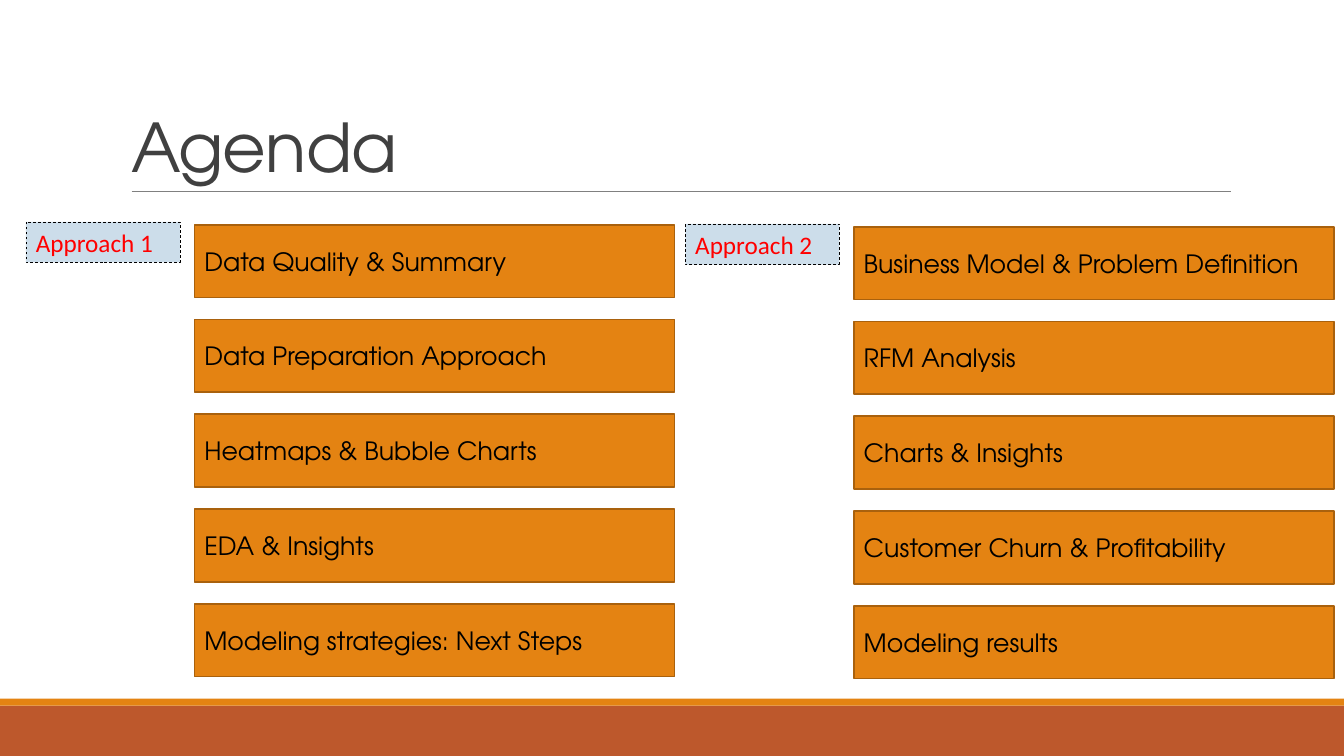
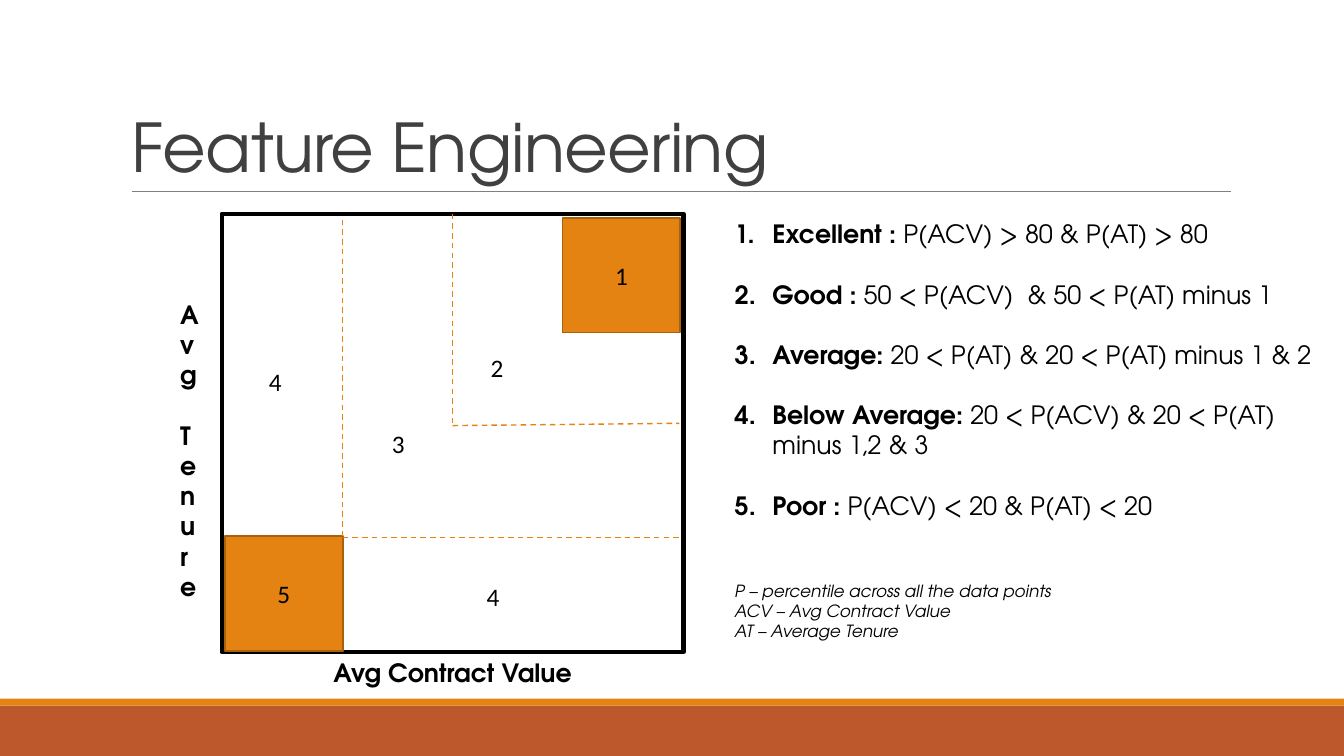
from lxml import etree
from pptx import Presentation
from pptx import util as u
from pptx.dml import color
from pptx.enum import dml, shapes, text
from pptx.oxml import ns

Pt = u.Pt
LEFT, CENTER = text.PP_ALIGN.LEFT, text.PP_ALIGN.CENTER
TOP, MIDDLE = text.MSO_ANCHOR.TOP, text.MSO_ANCHOR.MIDDLE


def rgb(value):
    return color.RGBColor.from_string(value)


class Deck:
    HEAD_FONT, PLAIN_FONT = "TeX Gyre Adventor", "Calibri"
    ORANGE, EDGE, RUST = "E48312", "A9610D", "BD582C"
    BLACK, GREY, TITLE = "000000", "808080", "404040"
    PALE, RED = "CCDDEA", "FF0000"

    def __init__(self):
        self.deck = Presentation()
        self.deck.slide_width, self.deck.slide_height = Pt(960), Pt(540)
        self.layout = self.deck.slide_layouts.get_by_name("Title Only")
        self.page = None

    def new_page(self, title):
        first = self.page is None
        self.page = self.deck.slides.add_slide(self.layout)
        if first:
            self.decorate_layout()
        box = self.page.shapes.title
        box.left, box.top, box.width, box.height = Pt(86.4), Pt(22.5), Pt(792), Pt(114.2)
        frame = box.text_frame
        frame.text = title
        frame.auto_size = text.MSO_AUTO_SIZE.NONE
        frame.vertical_anchor = text.MSO_ANCHOR.BOTTOM
        para = frame.paragraphs[0]
        para.alignment = LEFT
        para.line_spacing = 0.85
        self.style(para.runs[0], 48, ink=self.TITLE)
        for props in box.element.iter(ns.qn("a:rPr")):
            props.set("spc", "-50")

    def decorate_layout(self):
        parts = [
            self.rect(0, 504, 960, 36, self.RUST),
            self.rect(0, 499, 960, 5, self.ORANGE),
            self.line(94, 137, 879, 137, self.GREY, 0.5, dashed=False),
        ]
        for part in parts:
            self.layout.shapes.element.append(part.element)

    def style(self, span, size=18, font=HEAD_FONT, ink=BLACK, bold=False, italic=False):
        span.font.name, span.font.size = font, Pt(size)
        span.font.bold, span.font.italic = bold, italic
        span.font.color.rgb = rgb(ink)

    def rect(self, left, top, width, height, fill=None, edge=None, weight=1.25, dashed=False):
        box = self.page.shapes.add_shape(
            shapes.MSO_SHAPE.RECTANGLE, Pt(left), Pt(top), Pt(width), Pt(height))
        box.shadow.inherit = False
        if fill:
            box.fill.solid()
            box.fill.fore_color.rgb = rgb(fill)
        else:
            box.fill.background()
        if edge:
            box.line.color.rgb = rgb(edge)
            box.line.width = Pt(weight)
            if dashed:
                box.line.dash_style = dml.MSO_LINE.DASH
        else:
            box.line.fill.background()
        return box

    def fill_text(self, box, lines, align=LEFT, anchor=TOP, gap=0, **look):
        frame = box.text_frame
        frame.word_wrap = True
        frame.vertical_anchor = anchor
        frame.text = "\n".join(lines)
        for index, para in enumerate(frame.paragraphs):
            para.alignment = align
            if index:
                para.space_before = Pt(gap)
            self.style(para.runs[0], **look)

    def tile(self, left, top, width, height, words, **look):
        box = self.rect(left, top, width, height, self.ORANGE, self.EDGE)
        self.fill_text(box, [words], anchor=MIDDLE, **look)

    def tag(self, left, top, words):
        box = self.rect(left, top, 110, 29, self.PALE, self.BLACK, 0.5, dashed=True)
        self.fill_text(box, [words], font=self.PLAIN_FONT, ink=self.RED)

    def text_box(self, left, top, width, height):
        return self.page.shapes.add_textbox(Pt(left), Pt(top), Pt(width), Pt(height))

    def label(self, left, top, width, height, *lines, **look):
        self.fill_text(self.text_box(left, top, width, height), lines, **look)

    def line(self, x1, y1, x2, y2, ink=ORANGE, weight=1, dashed=True):
        line = self.page.shapes.add_connector(
            shapes.MSO_CONNECTOR.STRAIGHT, Pt(x1), Pt(y1), Pt(x2), Pt(y2))
        line.line.color.rgb = rgb(ink)
        line.line.width = Pt(weight)
        if dashed:
            line.line.dash_style = dml.MSO_LINE.DASH
        etree.SubElement(line.element.spPr, ns.qn("a:effectLst"))
        return line

    def definitions(self, left, top, width, height, items, notes):
        frame = self.text_box(left, top, width, height).text_frame
        frame.word_wrap = True
        for index, (name, rule) in enumerate(items):
            para = frame.add_paragraph() if index else frame.paragraphs[0]
            props = para._p.get_or_add_pPr()
            props.set("marL", str(Pt(27)))
            props.set("indent", str(-Pt(27)))
            if index:
                para.space_before = Pt(21.5)
            etree.SubElement(props, ns.qn("a:buFont"), typeface="+mj-lt")
            etree.SubElement(props, ns.qn("a:buAutoNum"), type="arabicPeriod")
            for words, bold in ((name + " ", True), (rule, False)):
                span = para.add_run()
                span.text = words
                self.style(span, bold=bold)
        for index, note in enumerate(notes):
            para = frame.add_paragraph()
            para.text = note
            para.space_before = Pt(0 if index else 43)
            self.style(para.runs[0], 12, italic=True)

    def save(self):
        self.deck.save("out.pptx")


def agenda(deck):
    deck.new_page("Agenda")
    columns = [
        (18.5, 158.5, "Approach 1", [
            "Data Quality & Summary", "Data Preparation Approach",
            "Heatmaps & Bubble Charts", "EDA & Insights",
            "Modeling strategies: Next Steps"]),
        (489.5, 160, "Approach 2", [
            "Business Model & Problem Definition", "RFM Analysis",
            "Charts & Insights", "Customer Churn & Profitability",
            "Modeling results"]),
    ]
    for left, top, approach, topics in columns:
        for row, topic in enumerate(topics):
            deck.tile(left + 120.4, top + 2 + row * 67.7, 343, 52, topic)
        deck.tag(left, top, approach)


def feature_engineering(deck):
    deck.new_page("Feature Engineering")
    left, top, width, height = 158.4, 152.6, 329.8, 313.2
    right = 485.3
    deck.rect(left, top, width, height, edge=deck.BLACK, weight=3)
    deck.label(left, top + height, width, 29, "Avg Contract Value", align=CENTER, bold=True)
    deck.label(121.5, 210.2, 27.4, 224, "Avg", "Tenure", gap=21.5, bold=True)
    for x, y, score in ((160.6, 383, "5"), (401.8, 155.5, "1")):
        deck.tile(x, y, 84.2, 82, score, align=CENTER, font=deck.PLAIN_FONT)
    deck.definitions(517.7, top, 432, 320, [
        ("Excellent :", "P(ACV) > 80 & P(AT) > 80"),
        ("Good :", "50 < P(ACV)  & 50 < P(AT) minus 1"),
        ("Average:", "20 < P(AT) & 20 < P(AT) minus 1 & 2"),
        ("Below Average:", "20 < P(ACV) & 20 < P(AT) minus 1,2 & 3"),
        ("Poor :", "P(ACV) < 20 & P(AT) < 20"),
    ], [
        "P – percentile across all the data points",
        "ACV – Avg Contract Value",
        "AT – Average Tenure",
    ])
    for ends in (
        (323.3, top, 323.3, 304),
        (323.3, 304, right, 302.4),
        (244.8, 383.8, right, 383.8),
        (244.8, 157, 244.8, 385),
    ):
        deck.line(*ends)
    for x, y, score in ((343.4, 248.4, "2"), (272.9, 302.4, "3"),
                        (185, 257.8, "4"), (340.6, 411.8, "4")):
        deck.label(x, y, 50, 29, score, font=deck.PLAIN_FONT)


def main():
    deck = Deck()
    agenda(deck)
    feature_engineering(deck)
    deck.save()


if __name__ == "__main__":
    main()
